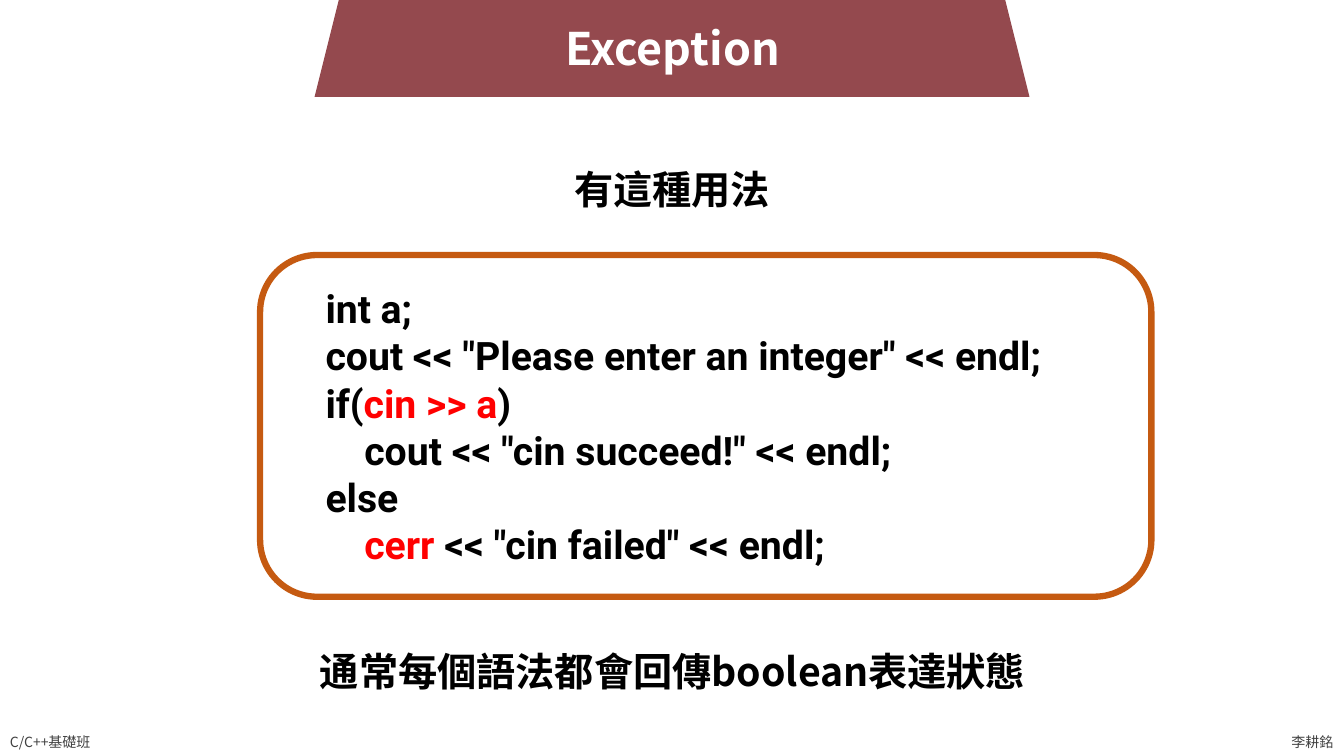
from pptx import Presentation
from pptx.dml.color import RGBColor
from pptx.enum.shapes import MSO_SHAPE
from pptx.enum.text import MSO_ANCHOR, PP_ALIGN
from pptx.oxml.ns import qn
from pptx.util import Inches, Pt

COLORS = {"banner": "94494E", "frame": "C55A11", "white": "FFFFFF",
          "black": "000000", "red": "FF0000", "gray": "404040"}
CJK, LATIN = "Noto Sans CJK TC", "Roboto"
INDENT = 0.385
CODE = [
    (1, [("int a;", "black")]),
    (1, [('cout << "Please enter an integer" << endl;', "black")]),
    (1, [("if(", "black"), ("cin >> a", "red"), (")", "black")]),
    (2, [('cout << "cin succeed!" << endl;', "black")]),
    (1, [("else", "black")]),
    (2, [("cerr", "red"), (' << "cin failed" << endl;', "black")]),
]


def rgb(name):
    """Return the named colour."""
    return RGBColor.from_string(COLORS[name])


def add_run(p, text, size, color, font=CJK, bold=True):
    """Add one run with its font set for Latin and East Asian text."""
    r = p.add_run()
    r.text = text
    f = r.font
    f.size, f.bold, f.name = Pt(size), bold, font
    f.color.rgb = rgb(color)
    ea = r._r.get_or_add_rPr().makeelement(qn("a:ea"), {"typeface": font})
    f._element.find(qn("a:latin")).addnext(ea)


def add_text(s, box, text, size, color, align=PP_ALIGN.CENTER,
             anchor=MSO_ANCHOR.TOP, bold=True, wrap=True):
    """Add a text box holding one line of text."""
    tf = s.shapes.add_textbox(*map(Inches, box)).text_frame
    tf.word_wrap = wrap
    tf.vertical_anchor = anchor
    p = tf.paragraphs[0]
    p.alignment = align
    add_run(p, text, size, color, bold=bold)


def add_box(s, kind, box, fill):
    """Add a filled preset shape without shadow or line."""
    sp = s.shapes.add_shape(kind, *map(Inches, box))
    sp.shadow.inherit = False
    sp.fill.solid()
    sp.fill.fore_color.rgb = rgb(fill)
    sp.line.fill.background()
    return sp


def add_banner(s, box, title):
    """Add the trapezoid banner with the title over its lower part."""
    x, y, w, h = box
    add_box(s, MSO_SHAPE.TRAPEZOID, box, "banner")
    add_text(s, (x + w / 2 - 1.16, y + h - 0.8, 2.33, 0.64), title, 32,
             "white", wrap=False)


def add_code(s, box, lines):
    """Add the rounded frame with indented, coloured code lines."""
    sp = add_box(s, MSO_SHAPE.ROUNDED_RECTANGLE, box, "white")
    sp.line.color.rgb = rgb("frame")
    sp.line.width = Pt(4.5)
    tf = sp.text_frame
    tf.word_wrap = True
    tf.vertical_anchor = MSO_ANCHOR.MIDDLE
    for i, (depth, runs) in enumerate(lines):
        p = tf.add_paragraph() if i else tf.paragraphs[0]
        p.alignment = PP_ALIGN.LEFT
        p._p.get_or_add_pPr().set("marL", str(Inches(INDENT * depth)))
        for text, color in runs:
            add_run(p, text, 28, color, LATIN)


def add_footer(s, width, top, course, author):
    """Add the course at the left edge and the author at the right edge."""
    for text, w, x in ((course, 1.07, 0), (author, 0.62, width - 0.62)):
        add_text(s, (x, top, w, 0.27), text, 10, "gray", PP_ALIGN.LEFT,
                 bold=False, wrap=False)


def main():
    """Build and save the slide."""
    prs = Presentation()
    prs.slide_width, prs.slide_height = Inches(13.33), Inches(7.5)
    s = prs.slides.add_slide(prs.slide_layouts[6])
    add_footer(s, 13.33, 7.23, "C/C++基礎班", "李耕銘")
    add_banner(s, (3.12, -0.26, 7.09, 1.22), "Exception")
    add_text(s, (5.31, 1.6, 2.71, 0.55), "有這種用法", 28, "black",
             anchor=MSO_ANCHOR.MIDDLE)
    add_code(s, (2.58, 2.53, 8.84, 3.39), CODE)
    add_text(s, (3.01, 6.37, 7.32, 0.57),
             "通常每個語法都會回傳boolean表達狀態", 28, "black")
    prs.save("out.pptx")


if __name__ == "__main__":
    main()
